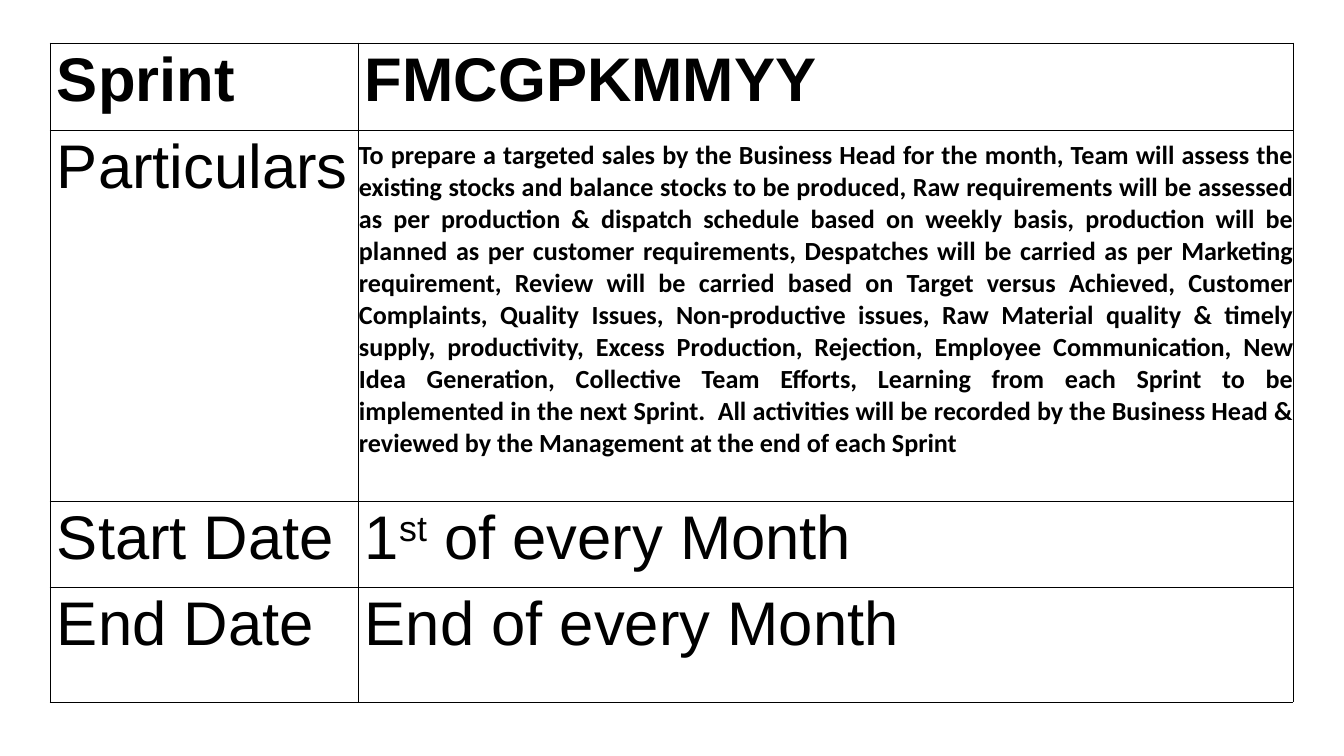
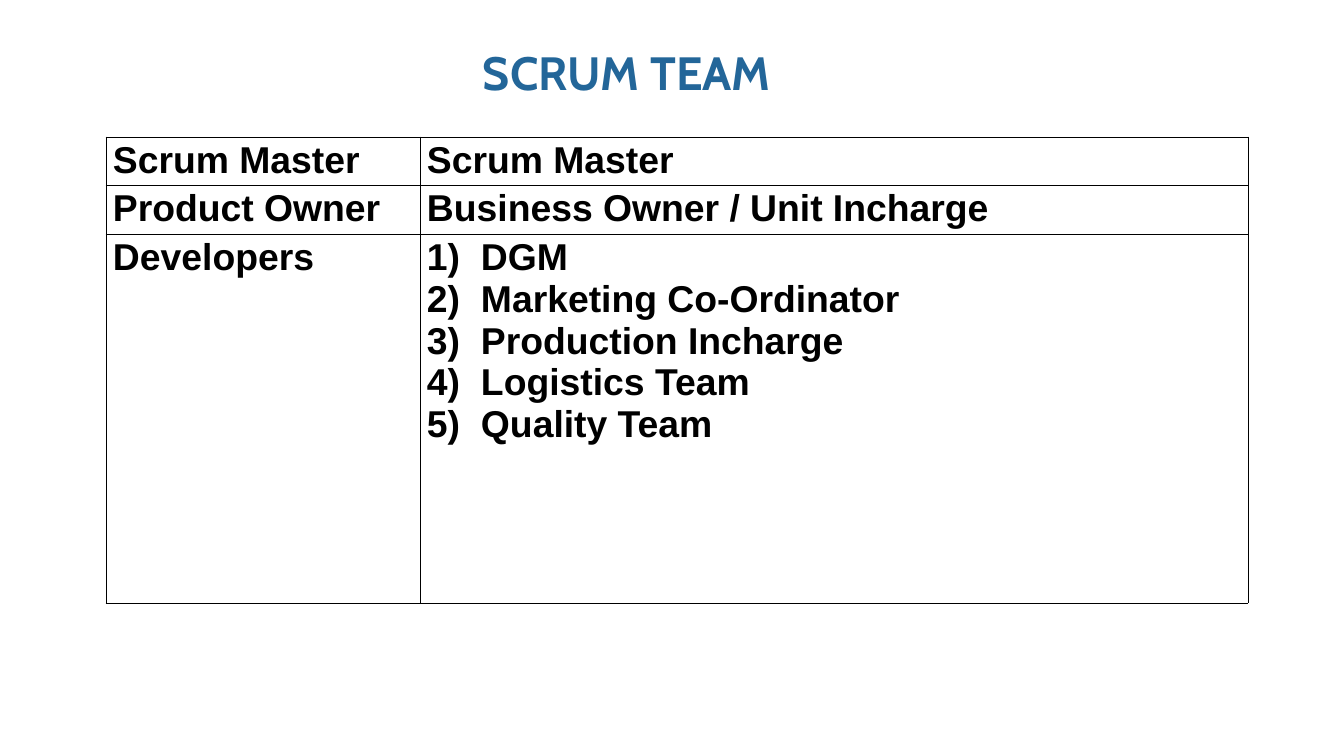
import pptx
import pptx.util
import pptx.dml.color
import pptx.enum.text
import pptx.oxml.ns
import lxml.etree

PX = 914400 / 67.2  # EMU in one pixel
COLORS = {"text": "000000", "border": "000000", "cell": "FFFFFF", "title": "236699"}
TITLE_ONLY, BLANK = 5, 6

PARTICULARS = (
    "To prepare a targeted sales by the Business Head for the month, Team will assess "
    "the existing stocks and balance stocks to be produced, Raw requirements will be "
    "assessed as per production & dispatch schedule based on weekly basis, production "
    "will be planned as per customer requirements, Despatches will be carried as per "
    "Marketing requirement, Review will be carried based on Target versus Achieved, "
    "Customer Complaints, Quality Issues, Non-productive issues, Raw Material quality & "
    "timely supply, productivity, Excess Production, Rejection, Employee Communication, "
    "New Idea Generation, Collective Team Efforts, Learning from each Sprint to be "
    "implemented in the next Sprint.  All activities will be recorded by the Business "
    "Head & reviewed by the Management at the end of each Sprint"
)
DEVELOPERS = ["DGM", "Marketing Co-Ordinator", "Production Incharge",
              "Logistics Team", "Quality Team"]


def px(length):
    return pptx.util.Emu(round(length * PX))


def rgb(name):
    return pptx.dml.color.RGBColor.from_string(COLORS[name])


def add_child(parent, tag, **attributes):
    return lxml.etree.SubElement(parent, pptx.oxml.ns.qn(tag), attributes)


def add_span(para, text, size, bold=False, font="Arial", color="text"):
    span = para.add_run()
    span.text = text
    span.font.size = pptx.util.Pt(size)
    span.font.bold = bold
    span.font.name = font
    span.font.color.rgb = rgb(color)
    return span


def number_paragraph(para, indent):
    properties = para._p.get_or_add_pPr()
    properties.set("marL", str(px(indent)))
    properties.set("indent", str(-px(indent)))
    add_child(properties, "a:buFont", typeface="+mj-lt")
    add_child(properties, "a:buAutoNum", type="arabicParenR")


def set_margins(target, left, top, right, bottom):
    target.margin_left, target.margin_top = px(left), px(top)
    target.margin_right, target.margin_bottom = px(right), px(bottom)


def style_cell(cell):
    set_margins(cell, 7, 3, 7, 0)
    properties = cell._tc.get_or_add_tcPr()
    for side in ("a:lnL", "a:lnR", "a:lnT", "a:lnB"):
        line = add_child(properties, side, w=str(pptx.util.Pt(1)))
        fill = add_child(line, "a:solidFill")
        add_child(fill, "a:srgbClr", val=COLORS["border"])
    cell.fill.solid()
    cell.fill.fore_color.rgb = rgb("cell")


def add_grid(page, left, top, widths, heights):
    frame = page.shapes.add_table(len(heights), len(widths), px(left), px(top),
                                  px(sum(widths)), px(sum(heights)))
    table = frame.table
    table.first_row = table.horz_banding = False
    for column, width in zip(table.columns, widths):
        column.width = px(width)
    for row, height in zip(table.rows, heights):
        row.height = px(height)
    for cell in table.iter_cells():
        style_cell(cell)
    return table


def write_cell(cell, text, size, bold=False):
    add_span(cell.text_frame.paragraphs[0], text, size, bold)


def write_numbered_list(cell, items, size, indent):
    box = cell.text_frame
    for index, item in enumerate(items):
        para = box.add_paragraph() if index else box.paragraphs[0]
        number_paragraph(para, indent)
        add_span(para, item, size, bold=True)


def set_title(page, text, left, top, width, height):
    title = page.shapes.title
    title.left, title.top, title.width, title.height = map(px, (left, top, width, height))
    box = title.text_frame
    set_margins(box, 0, 0, 0, 0)
    box.word_wrap = True
    box.auto_size = pptx.enum.text.MSO_AUTO_SIZE.SHAPE_TO_FIT_TEXT
    box.vertical_anchor = pptx.enum.text.MSO_ANCHOR.TOP
    para = box.paragraphs[0]
    para.alignment = pptx.enum.text.PP_ALIGN.LEFT
    add_span(para, text, 50, bold=True, font="Cabin", color="title")


def build_sprint_page(deck):
    page = deck.slides.add_slide(deck.slide_layouts[BLANK])
    table = add_grid(page, 50, 43, [308, 935], [87, 371, 86, 115])

    # Row labels
    for row, label in enumerate(["Sprint", "Particulars", "Start Date", "End Date"]):
        write_cell(table.cell(row, 0), label, 66, bold=row == 0)

    # Sprint name and dates
    write_cell(table.cell(0, 1), "FMCGPKMMYY", 66, bold=True)
    start = table.cell(2, 1).text_frame.paragraphs[0]
    add_span(start, "1", 66)
    ordinal = add_span(start, "st", 66)
    ordinal.font._element.set("baseline", "30000")
    add_span(start, " of every Month", 66)
    write_cell(table.cell(3, 1), "End of every Month", 66)

    # Particulars of the sprint, lifted above the middle by the bottom margin
    details = table.cell(1, 1)
    details.vertical_anchor = pptx.enum.text.MSO_ANCHOR.MIDDLE
    set_margins(details, 1, 1, 0, 33)
    para = details.text_frame.paragraphs[0]
    para.alignment = pptx.enum.text.PP_ALIGN.JUSTIFY
    add_span(para, PARTICULARS, 28, bold=True, font="Calibri")


def build_team_page(deck):
    page = deck.slides.add_slide(deck.slide_layouts[TITLE_ONLY])
    set_title(page, "SCRUM TEAM", 483, 44, 378, 58)
    table = add_grid(page, 106, 137, [314, 828], [48, 49, 369])

    # Roles and the people who hold them
    for row, role in enumerate(["Scrum Master", "Product Owner", "Developers"]):
        write_cell(table.cell(row, 0), role, 40, bold=True)
    for row, holder in enumerate(["Scrum Master", "Business Owner / Unit Incharge"]):
        write_cell(table.cell(row, 1), holder, 40, bold=True)
    write_numbered_list(table.cell(2, 1), DEVELOPERS, 40, indent=54)


def main():
    deck = pptx.Presentation()
    deck.slide_width, deck.slide_height = px(1344), px(756)
    build_sprint_page(deck)
    build_team_page(deck)
    deck.save("out.pptx")


if __name__ == "__main__":
    main()
